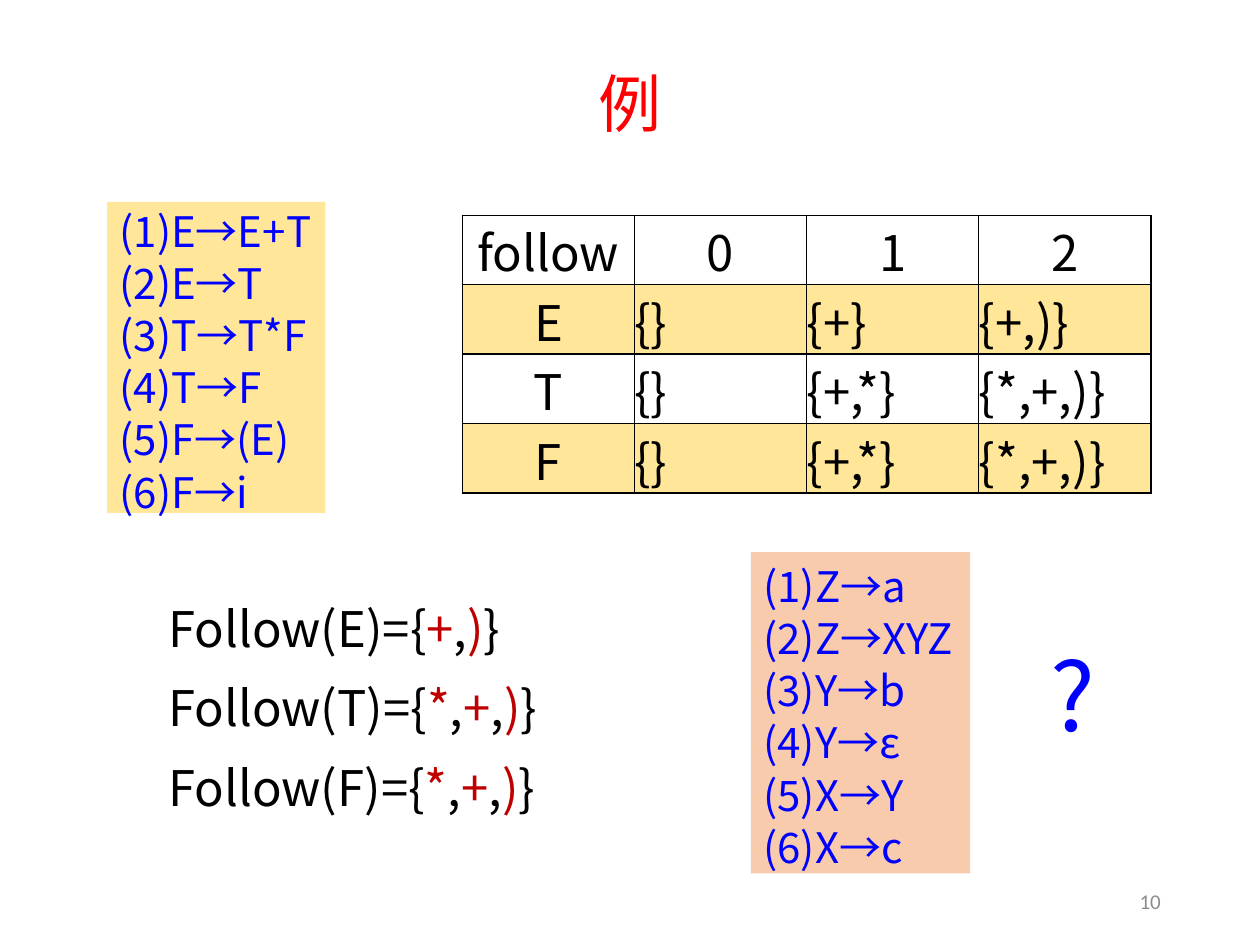
"""Build a slide that works through FOLLOW sets for an expression grammar."""
from dataclasses import dataclass

from lxml import etree
from pptx import Presentation
from pptx import util as u
from pptx.dml.color import RGBColor
from pptx.enum import shapes, text
from pptx.oxml.ns import qn


@dataclass(frozen=True)
class Theme:
    font: str = "Noto Sans CJK SC"
    title_font: str = "Noto Sans CJK JP"
    number_font: str = "Calibri"
    black: str = "000000"
    blue: str = "0000FF"
    red: str = "FF0000"
    dark_red: str = "C00000"
    grey: str = "8C8C8C"
    yellow: str = "FFE699"
    peach: str = "F8CBAD"
    title: int = 36
    body: int = 28
    rule: int = 24
    number: int = 12
    question: int = 54


theme = Theme()


def style(paragraph, size, color, font=theme.font):
    for run in paragraph.runs:
        run.font.name = font
        run.font.size = u.Pt(size)
        run.font.bold = False
        run.font.color.rgb = RGBColor.from_string(color)
        east_asian = etree.SubElement(run._r.get_or_add_rPr(), qn("a:ea"))
        east_asian.set("typeface", font)


def add_label(left, top, width, height, top_inset=0.13, anchor=text.MSO_ANCHOR.TOP):
    label = slide.shapes.add_textbox(u.Cm(left), u.Cm(top), u.Cm(width), u.Cm(height))
    frame = label.text_frame
    frame.word_wrap = True
    frame.margin_top = u.Cm(top_inset)
    frame.vertical_anchor = anchor
    return frame


deck = Presentation()
deck.slide_width, deck.slide_height = u.Cm(25.4), u.Cm(19.05)
slide = deck.slides.add_slide(deck.slide_layouts[6])

captions = [
    ("例", (1.75, 1.02, 21.9, 2.08), text.PP_ALIGN.CENTER,
     theme.title, theme.red, theme.title_font),
    ("10", (17.93, 17.65, 5.72, 1.02), text.PP_ALIGN.RIGHT,
     theme.number, theme.grey, theme.number_font),
]
for words, place, align, size, color, font in captions:
    caption = add_label(*place, anchor=text.MSO_ANCHOR.MIDDLE)
    caption.text = words
    caption.paragraphs[0].alignment = align
    style(caption.paragraphs[0], size, color, font)

grammars = [
    (["E→E+T", "E→T", "T→T*F", "T→F", "F→(E)", "F→i"],
     (2.16, 4.07, 4.4, 6.27), 0.07, theme.yellow),
    (["Z→a", "Z→XYZ", "Y→b", "Y→ε", "X→Y", "X→c"],
     (15.14, 11.13, 4.42, 6.48), 0.17, theme.peach),
]
for rules, place, top_inset, fill in grammars:
    grammar = slide.shapes.add_shape(shapes.MSO_SHAPE.RECTANGLE, *map(u.Cm, place))
    grammar.shadow.inherit = False
    grammar.fill.solid()
    grammar.fill.fore_color.rgb = RGBColor.from_string(fill)
    grammar.line.fill.background()
    frame = grammar.text_frame
    frame.word_wrap = True
    frame.vertical_anchor = text.MSO_ANCHOR.TOP
    frame.margin_top = u.Cm(top_inset)
    frame.text = "\n".join(f"({n}){rule}" for n, rule in enumerate(rules, 1))
    for line in frame.paragraphs:
        line.alignment = text.PP_ALIGN.LEFT
        line.line_spacing = u.Pt(1.2 * theme.rule)
        line.space_after = u.Pt(1)
        style(line, theme.rule, theme.blue)

rounds = [
    ["follow", "0", "1", "2"],
    ["E", "{}", "{+}", "{+,)}"],
    ["T", "{}", "{+,*}", "{*,+,)}"],
    ["F", "{}", "{+,*}", "{*,+,)}"],
]
follow_table = slide.shapes.add_table(
    4, 4, u.Cm(9.32), u.Cm(4.34), u.Cm(13.88), u.Cm(5.6)).table
follow_table.first_row = follow_table.horz_banding = False
for r, values in enumerate(rounds):
    for c, value in enumerate(values):
        cell = follow_table.cell(r, c)
        cell.margin_left = cell.margin_right = cell.margin_top = cell.margin_bottom = 0
        cell.text = value
        entry = cell.text_frame.paragraphs[0]
        heading = r == 0 or c == 0
        entry.alignment = text.PP_ALIGN.CENTER if heading else text.PP_ALIGN.LEFT
        style(entry, theme.body, theme.black)
        properties = cell._tc.get_or_add_tcPr()
        for side in ("lnL", "lnR", "lnT", "lnB"):
            border = etree.SubElement(properties, qn(f"a:{side}"), w=str(u.Pt(1)))
            paint = etree.SubElement(border, qn("a:solidFill"))
            etree.SubElement(paint, qn("a:srgbClr"), val=theme.black)
        if r % 2:
            cell.fill.solid()
            cell.fill.fore_color.rgb = RGBColor.from_string(theme.yellow)
        else:
            cell.fill.background()

question = add_label(20.93, 12.57, 2.31, 2.64, top_inset=0.28)
question.text = "?"
question.paragraphs[0].line_spacing = u.Pt(1.2 * theme.question)
style(question.paragraphs[0], theme.question, theme.blue)

follow_sets = {"E": "+,)", "T": "*,+,)", "F": "*,+,)"}
answers = add_label(3.15, 11.89, 9.17, 4.95, top_inset=0.17)
for n, (symbol, terminals) in enumerate(follow_sets.items()):
    answer = answers.add_paragraph() if n else answers.paragraphs[0]
    answer.line_spacing = u.Pt(1.2 * theme.body)
    answer.space_before = u.Pt(6 if n else 0)
    answer.space_after = u.Pt(6)
    for part in [f"Follow({symbol})={{", *terminals, "}"]:
        answer.add_run().text = part
    style(answer, theme.body, theme.black)
    for run in answer.runs:
        if run.text in ("+", "*", ")"):
            run.font.color.rgb = RGBColor.from_string(theme.dark_red)

deck.save("out.pptx")
